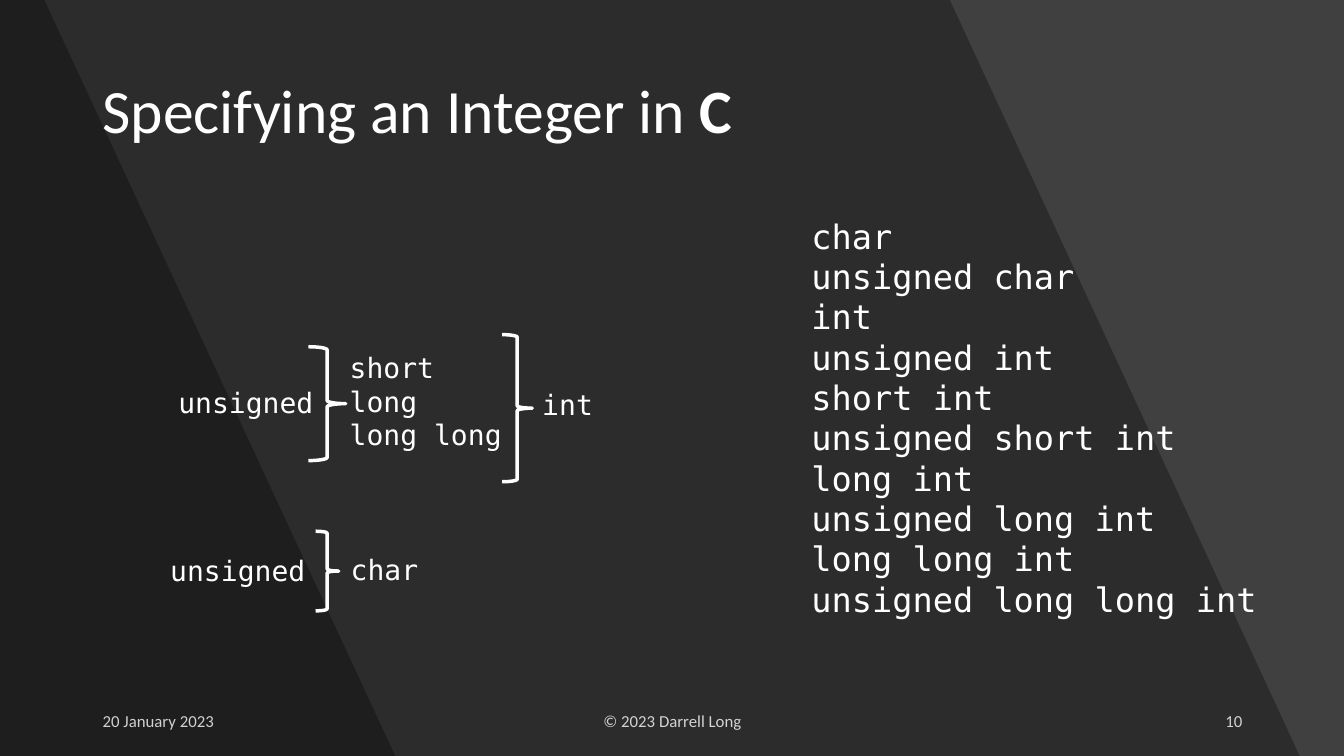
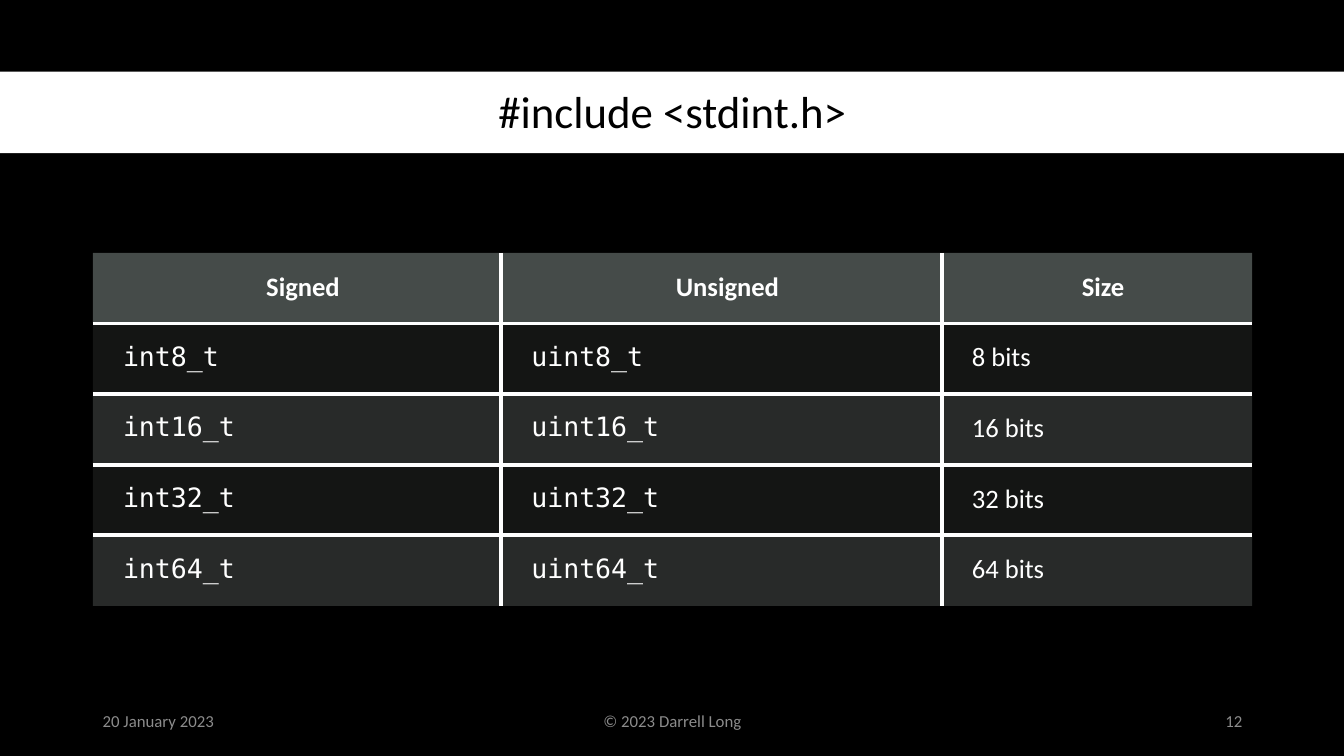
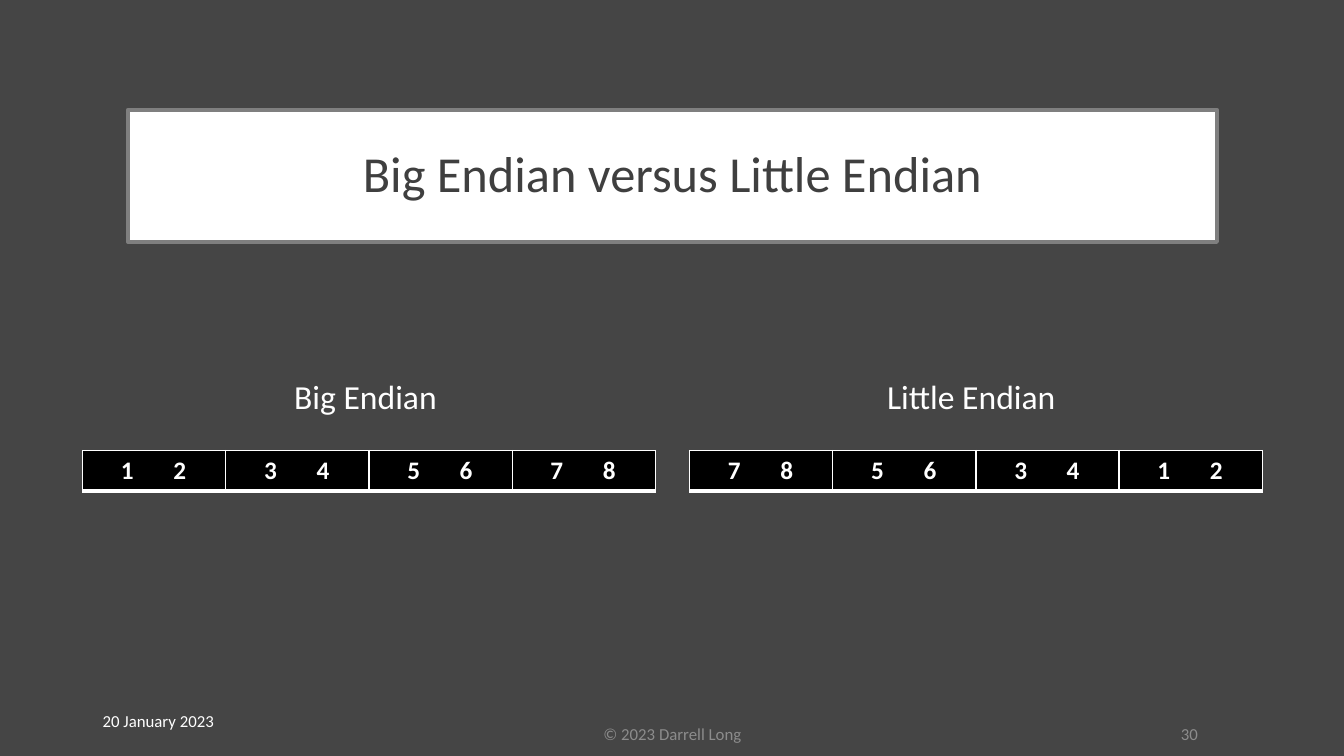
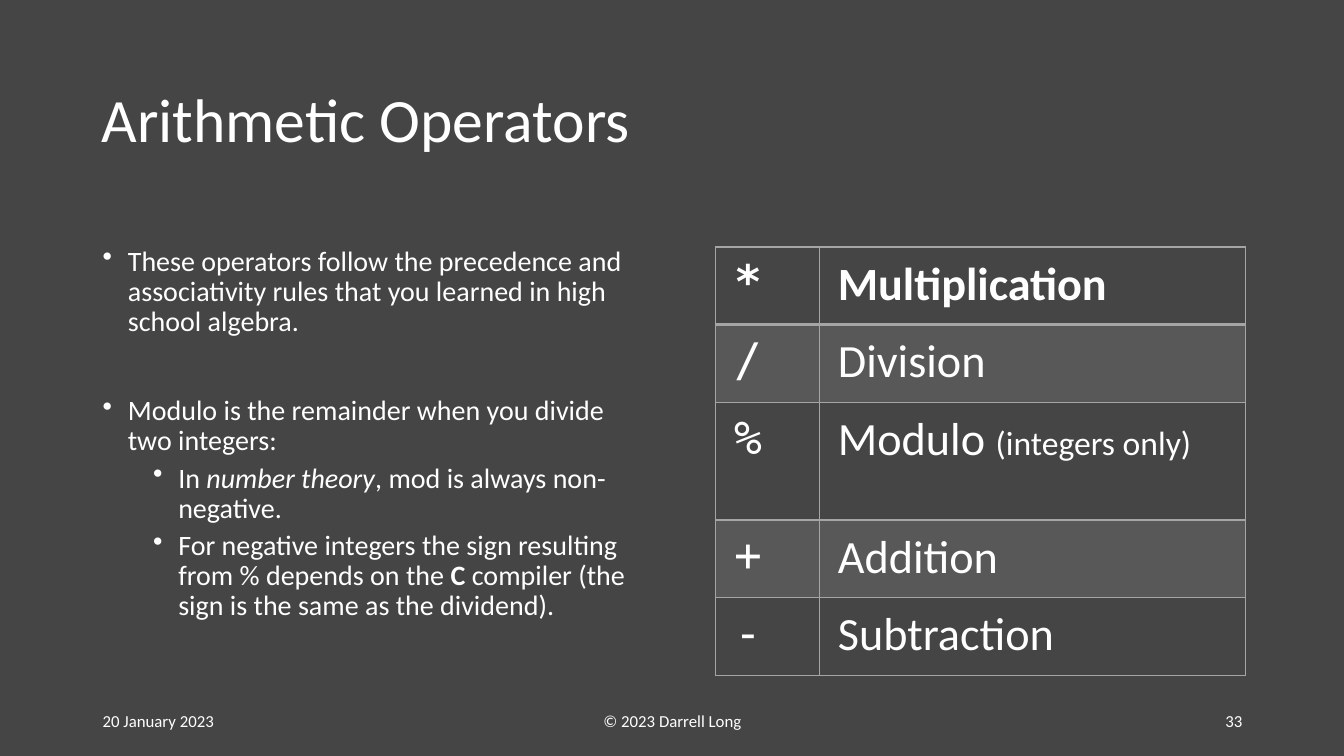
from lxml.etree import SubElement
from pptx import Presentation
from pptx.dml.color import RGBColor
from pptx.enum.shapes import MSO_SHAPE
from pptx.enum.text import MSO_ANCHOR, PP_ALIGN
from pptx.oxml.ns import qn
from pptx.util import Inches, Pt


class Theme:
    white = RGBColor(0xFF, 0xFF, 0xFF)
    black = RGBColor(0, 0, 0)
    charcoal = RGBColor(0x40, 0x40, 0x40)
    slate = RGBColor(0x45, 0x45, 0x45)
    ink = RGBColor(0x3F, 0x3F, 0x3F)
    frame = RGBColor(0x7F, 0x7F, 0x7F)
    muted = RGBColor(0x8C, 0x8C, 0x8C)
    rule = RGBColor(0xA5, 0xA5, 0xA5)
    head = RGBColor(0x63, 0x6B, 0x68)
    band = RGBColor(0x87, 0x8E, 0x8B)
    sans, mono = "Calibri", "DejaVu Sans Mono"
    title, banner, framed_title = Pt(44), Pt(32), Pt(36)
    body, code, caption, footer = Pt(20), Pt(20), Pt(24), Pt(12)
    stdint, byte, operator = Pt(19), Pt(18), Pt(33)


PARAGRAPH_KEYS = {"alignment", "line_spacing", "space_before", "space_after", "level"}


def write(frame, paragraphs, look, **layout):
    """Fill a text frame; a paragraph is a string or a list of (text, changes)."""
    for name, value in {"word_wrap": True, **layout}.items():
        setattr(frame, name, value)
    for index, runs in enumerate(paragraphs):
        paragraph = frame.add_paragraph() if index else frame.paragraphs[0]
        for text, changes in [(runs, {})] if isinstance(runs, str) else runs:
            run = paragraph.add_run()
            run.text = text
            for name, value in {**look, **changes}.items():
                if name == "color":
                    run.font.color.rgb = value
                else:
                    setattr(paragraph if name in PARAGRAPH_KEYS else run.font, name, value)


def fade(element, percent):
    """Make the colours in an XML element partly transparent."""
    for color in element.iter(qn("a:srgbClr")):
        SubElement(color, qn("a:alpha"), val=str(percent * 1000))


# Slides and backgrounds
deck = Presentation()
deck.slide_width, deck.slide_height = Inches(13.33), Inches(7.5)
slides = []
for color in (Theme.charcoal, Theme.black, Theme.slate, Theme.slate):
    slide = deck.slides.add_slide(deck.slide_layouts[6])
    slide.background.fill.solid()
    slide.background.fill.fore_color.rgb = color
    slides.append(slide)
integers, stdint, endian, operators = slides

# Slanted shades behind the integer slide
for top_right, bottom_right in ((9.42, 12.89), (0.44, 3.92)):
    outline = integers.shapes.build_freeform(0, 0)
    corners = ((top_right, 0), (bottom_right, 7.5), (0, 7.5))
    outline.add_line_segments([(Inches(x), Inches(y)) for x, y in corners], close=True)
    shade = outline.convert_to_shape()
    shade.shadow.inherit = False
    shade.fill.solid()
    shade.fill.fore_color.rgb = Theme.black
    fade(shade.fill._xPr, 30)
    shade.line.fill.background()

# White band behind the stdint title
title_band = stdint.shapes.add_shape(
    MSO_SHAPE.RECTANGLE, 0, Inches(0.71), deck.slide_width, Inches(0.81))
title_band.shadow.inherit = False
title_band.fill.solid()
title_band.fill.fore_color.rgb = Theme.white
title_band.line.fill.background()

# Titles
title_look = {"name": Theme.sans, "size": Theme.title, "color": Theme.white, "line_spacing": 0.9}
centered = {"alignment": PP_ALIGN.CENTER}
titles = (
    (integers, (0.92, 0.4, 11.5, 1.45), [("Specifying an Integer in ", {}), ("C", {"bold": True})], {}),
    (stdint, (0.92, 0.74, 11.5, 0.78), "#include <stdint.h>",
     {"size": Theme.banner, "color": Theme.black, **centered}),
    (endian, (1.27, 1.09, 10.8, 1.31), "Big Endian versus Little Endian",
     {"size": Theme.framed_title, "color": Theme.ink, **centered}),
    (operators, (0.91, 0.49, 11.51, 1.45), "Arithmetic Operators", {}),
)
for slide, place, text, changes in titles:
    title = slide.shapes.add_textbox(*map(Inches, place))
    write(title.text_frame, [text], {**title_look, **changes}, vertical_anchor=MSO_ANCHOR.MIDDLE)
    if slide is endian:
        title.fill.solid()
        title.fill.fore_color.rgb = Theme.white
        title.line.color.rgb = Theme.frame
        title.line.width = Pt(3)

# Footers: date, copyright, slide number
spaced = {"space_after": Pt(6)}
bright = {"color": Theme.white}
dim = {"color": Theme.muted, **spaced}
footers = (
    (integers, "10", [{**bright, **spaced}] * 3, 6.95, 3),
    (stdint, "12", [dim] * 3, 6.95, 3),
    (endian, "30", [bright, dim, dim], 7.08, 2.56),
    (operators, "33", [bright] * 3, 6.95, 3),
)
for slide, number, looks, top, number_width in footers:
    parts = (
        ("20 January 2023", 0.92, 6.95, 3, PP_ALIGN.LEFT),
        ("© 2023 Darrell Long", 4.42, top, 4.5, PP_ALIGN.CENTER),
        (number, 9.42, top, number_width, PP_ALIGN.RIGHT),
    )
    for (text, left, part_top, width, alignment), look in zip(parts, looks):
        footer = slide.shapes.add_textbox(*map(Inches, (left, part_top, width, 0.4)))
        write(footer.text_frame, [text],
              {"name": Theme.sans, "size": Theme.footer, "alignment": alignment, **look},
              vertical_anchor=MSO_ANCHOR.MIDDLE)
        if slide is integers:
            fade(footer.text_frame._txBody, 80)

# Integer keywords, integer types and endian captions
code = {"name": Theme.mono, "size": Theme.code, "color": Theme.white}
caption = {"name": Theme.sans, "size": Theme.caption, "color": Theme.white}
integer_types = ["char", "unsigned char"] + [
    sign + size + "int" for size in ("", "short ", "long ", "long long ") for sign in ("", "unsigned ")]
labels = (
    (integers, (1.67, 3.77, 1.67, 0.49), ["unsigned"], code),
    (integers, (3.37, 3.43, 1.76, 1.24), ["short", "long", "long long"], code),
    (integers, (5.28, 3.79, 1.24, 0.49), ["int"], code),
    (integers, (1.59, 5.44, 1.77, 0.49), ["unsigned"], code),
    (integers, (3.38, 5.43, 1.36, 0.49), ["char"], code),
    (integers, (7.95, 2.09, 4.66, 4.14), integer_types, {**code, "size": Theme.caption}),
    (endian, (2.82, 3.68, 1.67, 0.5), ["Big Endian"], caption),
    (endian, (8.7, 3.68, 1.95, 0.5), ["Little Endian"], caption),
)
for slide, place, lines, look in labels:
    label = slide.shapes.add_textbox(*map(Inches, place))
    write(label.text_frame, lines, look)

# Braces joining the keywords
for place in ((3.06, 3.44, 0.37, 1.13), (4.98, 3.32, 0.3, 1.46), (3.13, 5.27, 0.23, 0.79)):
    brace = integers.shapes.add_shape(MSO_SHAPE.RIGHT_BRACE, *map(Inches, place))
    brace.shadow.inherit = False
    brace.fill.background()
    brace.line.color.rgb = Theme.white
    brace.line.width = Pt(2.5)

# Notes on the operators
sub_point = {"level": 1, "space_before": Pt(5)}
points = [
    "These operators follow the precedence and associativity rules that you learned in high school algebra.",
    [("Modulo is the remainder when you divide two integers:", {"space_before": Pt(42)})],
    [("In ", sub_point), ("number theory", {"italic": True}), (", mod is always non-negative.", {})],
    [("For negative integers the sign resulting from % depends on the ", sub_point),
     ("C", {"bold": True}), (" compiler (the sign is the same as the dividend).", {})],
]
notes = operators.shapes.add_textbox(*map(Inches, (0.92, 2.4, 5.4, 4.36))).text_frame
write(notes, points, {"name": Theme.sans, "size": Theme.body, "color": Theme.white, "line_spacing": 0.9})
for paragraph in notes.paragraphs:
    properties = paragraph._p.get_or_add_pPr()
    properties.set("marL", str(Inches(0.75 if paragraph.level else 0.25)))
    properties.set("indent", str(Inches(-0.25)))
    SubElement(properties, qn("a:buChar"), char="•")

# Tables: line widths in points, one fill per row, one look per column
stdint_text = {"name": Theme.sans, "size": Theme.stdint, "color": Theme.white}
stdint_code = {**stdint_text, "name": Theme.mono}
operator_text = {"name": Theme.sans, "size": Theme.operator, "color": Theme.white}
operator_code = {**operator_text, "name": Theme.mono}
byte_text = {"name": Theme.sans, "size": Theme.byte, "color": Theme.white, "bold": True}
bold = {"bold": True}
byte_pairs = ["1\t2", "3\t4", "5\t6", "7\t8"]
byte_table = {
    "slide": endian, "top": 4.47, "columns": [1.42] * 4, "heights": [0.4],
    "margins": (0.38, 0.05, 0.1, 0.05), "tab": 0.52,
    "rule": Theme.white, "outer": 1, "inner": 1, "head": 1, "foot": 3,
    "fills": [(Theme.black, 100)], "head_looks": [byte_text] * 4, "looks": [],
}
tables = (
    {"slide": stdint, "left": 0.92, "top": 2.51, "columns": [4.05, 4.37, 3.08], "heights": [0.7] * 5,
     "margins": (0.3, 0.18, 0.18, 0.18),
     "rule": Theme.white, "outer": 0, "inner": 3, "head": 3, "foot": 0,
     "fills": [(Theme.head, 70)] + [(Theme.band, 15), (Theme.band, 30)] * 2,
     "head_looks": [{**stdint_text, **bold, **centered}] * 3,
     "looks": [stdint_code, stdint_code, stdint_text],
     "rows": [["Signed", "Unsigned", "Size"]]
     + [[f"int{bits}_t", f"uint{bits}_t", f"{bits} bits"] for bits in (8, 16, 32, 64)]},
    {**byte_table, "left": 0.82, "rows": [byte_pairs]},
    {**byte_table, "left": 6.84, "rows": [byte_pairs[::-1]]},
    {"slide": operators, "left": 7.1, "top": 2.45, "columns": [1.03, 4.22],
     "heights": [0.77, 0.77, 1.17, 0.77, 0.77], "margins": (0.18, 0.09, 0.18, 0.09),
     "rule": Theme.rule, "outer": 1, "inner": 1, "head": 2, "foot": 1,
     "fills": [None, (Theme.rule, 20), None, (Theme.rule, 20), None],
     "head_looks": [{**operator_code, **bold}, {**operator_text, **bold}],
     "looks": [operator_code, operator_text],
     "rows": [["*", "Multiplication"], ["/", "Division"],
              ["%", [("Modulo ", {}), ("(integers only)", {"size": Theme.caption})]],
              ["+", "Addition"], ["-", "Subtraction"]]},
)
for plan in tables:
    rows, columns = plan["rows"], plan["columns"]
    place = (plan["left"], plan["top"], sum(columns), sum(plan["heights"]))
    grid = plan["slide"].shapes.add_table(len(rows), len(columns), *map(Inches, place)).table
    grid.first_row = grid.horz_banding = False
    for column, width in zip(grid.columns, columns):
        column.width = Inches(width)
    for r, texts in enumerate(rows):
        grid.rows[r].height = Inches(plan["heights"][r])
        looks = plan["looks"] if r else plan["head_looks"]
        for c, text in enumerate(texts):
            cell = grid.cell(r, c)
            for side, margin in zip(("left", "top", "right", "bottom"), plan["margins"]):
                setattr(cell, "margin_" + side, Inches(margin))
            write(cell.text_frame, [text], looks[c])
            if "tab" in plan:
                properties = cell.text_frame.paragraphs[0]._p.get_or_add_pPr()
                SubElement(SubElement(properties, qn("a:tabLst")), qn("a:tab"),
                           pos=str(Inches(plan["tab"])), algn="l")

            # Borders come before the fill in the cell properties
            last_row, last_column = r == len(rows) - 1, c == len(columns) - 1
            borders = {
                "a:lnL": "inner" if c else "outer",
                "a:lnR": "outer" if last_column else "inner",
                "a:lnT": "outer" if r == 0 else "head" if r == 1 else "inner",
                "a:lnB": "foot" if last_row else "inner" if r else "head",
            }
            cell_properties = cell._tc.get_or_add_tcPr()
            for tag, kind in borders.items():
                border = SubElement(cell_properties, qn(tag), w=str(Pt(plan[kind])))
                if plan[kind]:
                    SubElement(SubElement(border, qn("a:solidFill")), qn("a:srgbClr"), val=str(plan["rule"]))
                else:
                    SubElement(border, qn("a:noFill"))
            if plan["fills"][r]:
                color, opacity = plan["fills"][r]
                cell.fill.solid()
                cell.fill.fore_color.rgb = color
                if opacity < 100:
                    fade(cell_properties.find(qn("a:solidFill")), opacity)
            else:
                cell.fill.background()

deck.save("out.pptx")
